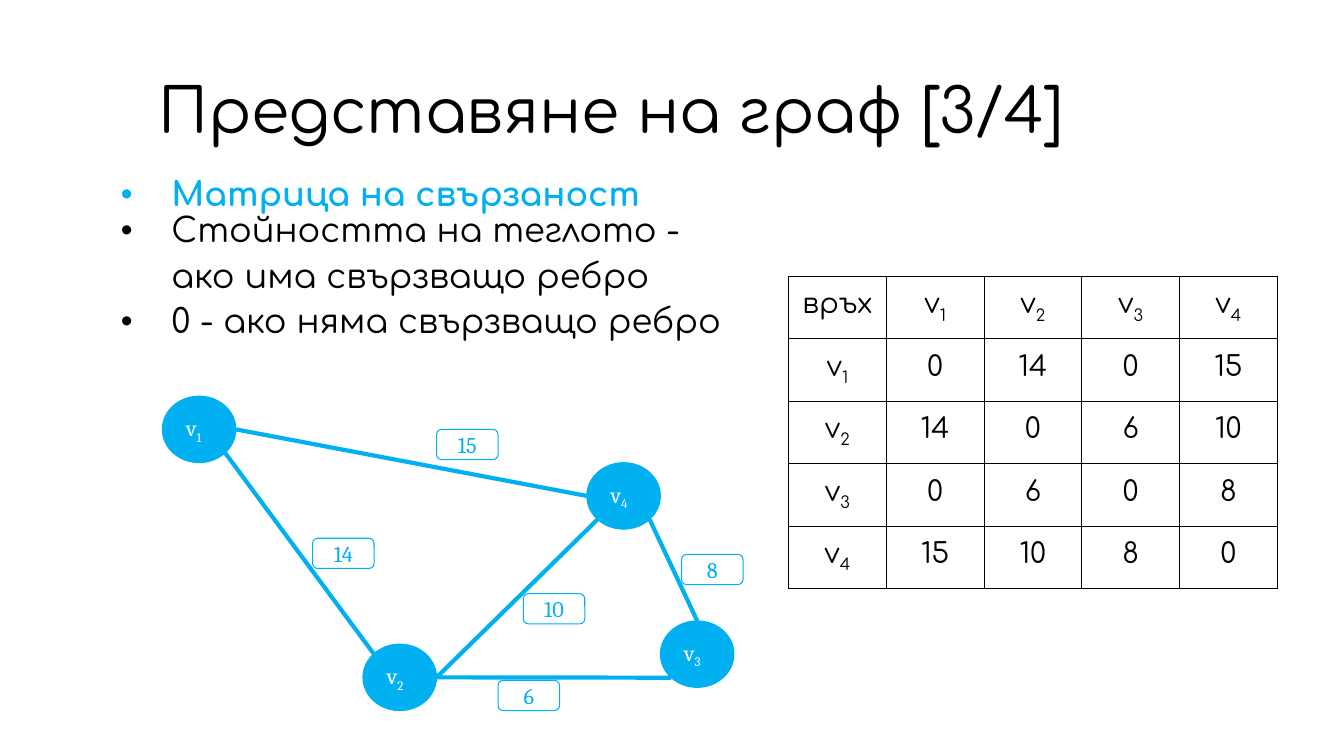
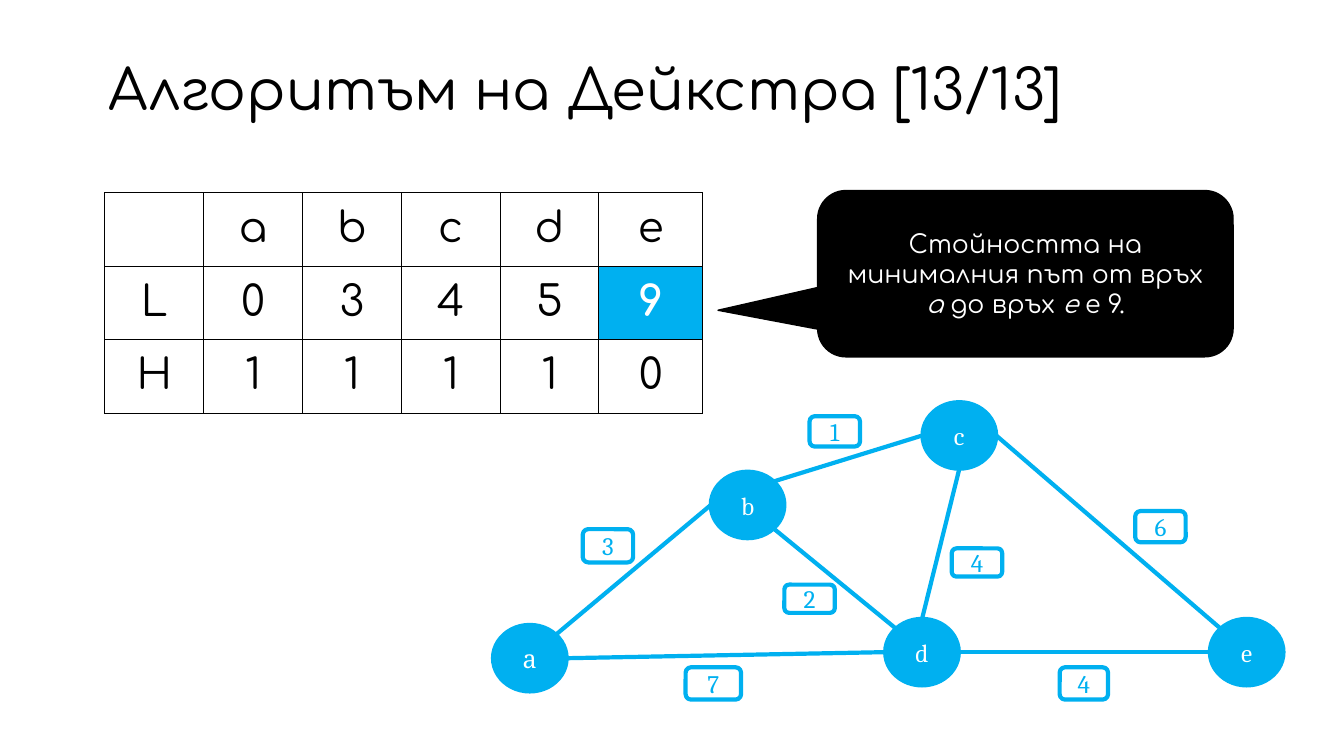
import math
from lxml import etree
from pptx import Presentation, util as u
from pptx.dml.color import RGBColor
from pptx.enum import shapes, text
from pptx.oxml import ns

COLORS = {"accent": "00B0F0", "ink": "000000", "paper": "FFFFFF"}
RGB = {name: RGBColor.from_string(value) for name, value in COLORS.items()}
SANS, SERIF = "Comfortaa", "Cambria"
NODE_WIDTH, NODE_HEIGHT = 0.73, 0.66
SITES = {"E": 0, "SE": 45, "S": 90, "SW": 135, "W": 180, "NW": 225, "N": 270, "NE": 315}
MARGINS = ("margin_left", "margin_top", "margin_right", "margin_bottom")

SLIDES = [
    {
        "title": "Представяне на граф [3/4]",
        "title_place": (1.45, 0.71, 10.44, 0.84),
        "title_size": 44,
        "table_place": (7.82, 2.74),
        "columns": [0.97] * 5,
        "row_height": 0.62,
        "table_size": 20,
        "rows": [
            ["връх", "v_1", "v_2", "v_3", "v_4"],
            ["v_1", "0", "14", "0", "15"],
            ["v_2", "14", "0", "6", "10"],
            ["v_3", "0", "6", "0", "8"],
            ["v_4", "15", "10", "8", "0"],
        ],
        "marked": None,
        "graph_size": 16,
        "outline": 0.75,
        "node_align": text.PP_ALIGN.LEFT,
        "nodes": {"v_1": (1.61, 3.93), "v_2": (3.6, 6.39), "v_3": (6.55, 6.16), "v_4": (5.82, 4.59)},
        "edges": [
            ("v_1", "SE", "v_2", "NW"),
            ("v_2", "E", "v_3", "SW"),
            ("v_3", "N", "v_4", "SE"),
            ("v_2", "E", "v_4", "SW"),
            ("v_1", "E", "v_4", "W"),
        ],
        "weights": [
            ("14", 3.1, 5.34, 0.61, 0.3),
            ("6", 4.94, 6.75, 0.61, 0.3),
            ("8", 6.76, 5.5, 0.61, 0.3),
            ("10", 5.19, 5.89, 0.61, 0.3),
            ("15", 4.33, 4.26, 0.61, 0.3),
        ],
    },
    {
        "title": "Алгоритъм на Дейкстра [13/13]",
        "title_place": (0.96, 0.5, 11.63, 0.84),
        "title_size": 40,
        "table_place": (1.04, 1.91),
        "columns": [0.98] * 5 + [1.03],
        "row_height": 0.73,
        "table_size": 30,
        "rows": [
            ["", "a", "b", "c", "d", "e"],
            ["L", "0", "3", "4", "5", "9"],
            ["H", "1", "1", "1", "1", "0"],
        ],
        "marked": (1, 5),
        "graph_size": 18,
        "outline": 3,
        "node_align": text.PP_ALIGN.CENTER,
        "nodes": {"а": (4.89, 6.2), "b": (7.05, 4.68), "c": (9.15, 3.99), "d": (8.78, 6.14), "e": (12, 6.14)},
        "edges": [
            ("а", "NE", "b", "W"),
            ("b", "SE", "d", "NW"),
            ("а", "E", "d", "W"),
            ("b", "NE", "c", "W"),
            ("d", "N", "c", "S"),
            ("c", "E", "e", "NW"),
            ("d", "E", "e", "W"),
        ],
        "weights": [
            ("3", 5.78, 5.25, 0.5, 0.33),
            ("7", 6.8, 6.62, 0.55, 0.32),
            ("2", 7.78, 5.8, 0.5, 0.28),
            ("1", 8.03, 4.13, 0.5, 0.3),
            ("4", 9.44, 5.44, 0.5, 0.28),
            ("4", 10.51, 6.62, 0.48, 0.32),
            ("6", 11.26, 5.07, 0.5, 0.31),
        ],
    },
]


def write(para, words, color, size, name, **extra):
    look = {"size": u.Pt(size), "name": name, "bold": False, **extra}
    for place, part in enumerate(words.split("_")):
        span = para.add_run()
        span.text = part
        for key, value in look.items():
            setattr(span.font, key, value)
        span.font.color.rgb = RGB[color]
        if place:
            span.font._element.set("baseline", "-25000")


def add_box(slide, kind, place, fill, line, width):
    box = slide.shapes.add_shape(kind, *map(u.Inches, place))
    box.shadow.inherit = False
    if fill:
        box.fill.solid()
        box.fill.fore_color.rgb = RGB[fill]
    else:
        box.fill.background()
    box.line.color.rgb = RGB[line]
    box.line.width = u.Pt(width)
    box.text_frame.word_wrap = True
    box.text_frame.vertical_anchor = text.MSO_ANCHOR.MIDDLE
    box.text_frame.paragraphs[0].alignment = text.PP_ALIGN.CENTER
    return box


deck = Presentation()
deck.slide_width, deck.slide_height = u.Inches(13.33), u.Inches(7.5)
title_only = deck.slide_layouts[5]

for content in SLIDES:
    slide = deck.slides.add_slide(title_only)
    title = slide.shapes.title
    for key, value in zip(("left", "top", "width", "height"), content["title_place"]):
        setattr(title, key, u.Inches(value))
    frame = title.text_frame
    frame.auto_size = text.MSO_AUTO_SIZE.NONE
    frame.vertical_anchor = text.MSO_ANCHOR.MIDDLE
    for key, value in zip(MARGINS, (0.12, 0.04, 0.12, 0.04)):
        setattr(frame, key, u.Inches(value))
    para = frame.paragraphs[0]
    para.alignment, para.line_spacing = text.PP_ALIGN.LEFT, 0.9
    write(para, content["title"], "ink", content["title_size"], SANS)

    rows, columns = content["rows"], content["columns"]
    extent = (sum(columns), content["row_height"] * len(rows))
    table = slide.shapes.add_table(
        len(rows), len(columns), *map(u.Inches, content["table_place"] + extent)
    ).table
    table.first_row = table.horz_banding = False
    for column, width in zip(table.columns, columns):
        column.width = u.Inches(width)
    for row_index, row in enumerate(rows):
        table.rows[row_index].height = u.Inches(content["row_height"])
        for column_index, words in enumerate(row):
            cell = table.cell(row_index, column_index)
            for key in MARGINS:
                setattr(cell, key, u.Inches(0.13))
            properties = cell._tc.get_or_add_tcPr()
            for side in ("a:lnL", "a:lnR", "a:lnT", "a:lnB"):
                border = etree.SubElement(properties, ns.qn(side), w=str(u.Pt(0.75)))
                paint = etree.SubElement(border, ns.qn("a:solidFill"))
                etree.SubElement(paint, ns.qn("a:srgbClr"), val=COLORS["ink"])
            marked = (row_index, column_index) == content["marked"]
            if marked:
                cell.fill.solid()
                cell.fill.fore_color.rgb = RGB["accent"]
            else:
                cell.fill.background()
            para = cell.text_frame.paragraphs[0]
            para.alignment = text.PP_ALIGN.CENTER
            if words:
                color = "paper" if marked else "ink"
                write(para, words, color, content["table_size"], SANS, bold=marked)

    nodes = content["nodes"]
    for start, start_site, end, end_site in content["edges"]:
        points = []
        for node, site in ((start, start_site), (end, end_site)):
            left, top = nodes[node]
            angle = math.radians(SITES[site])
            points.append(u.Inches(left + NODE_WIDTH / 2 * (1 + math.cos(angle))))
            points.append(u.Inches(top + NODE_HEIGHT / 2 * (1 + math.sin(angle))))
        edge = slide.shapes.add_connector(shapes.MSO_CONNECTOR.STRAIGHT, *points)
        edge.line.color.rgb = RGB["accent"]
        edge.line.width = u.Pt(3)
        etree.SubElement(edge._element.spPr, ns.qn("a:effectLst"))

    circles = [
        (name, (*corner, NODE_WIDTH, NODE_HEIGHT), shapes.MSO_SHAPE.OVAL,
         "accent", "paper", content["node_align"])
        for name, corner in nodes.items()
    ]
    labels = [
        (weight, place, shapes.MSO_SHAPE.ROUNDED_RECTANGLE, None, "accent", text.PP_ALIGN.CENTER)
        for weight, *place in content["weights"]
    ]
    for words, place, kind, fill, color, align in circles + labels:
        box = add_box(slide, kind, place, fill, "accent", content["outline"])
        for key in MARGINS:
            setattr(box.text_frame, key, u.Inches(0.13))
        para = box.text_frame.paragraphs[0]
        para.alignment = align
        write(para, words, color, content["graph_size"], SERIF)

matrix_slide, result_slide = deck.slides

frame = matrix_slide.shapes.add_textbox(*map(u.Inches, (0.91, 1.72, 6.7, 1.9))).text_frame
frame.word_wrap = True
for key, value in zip(MARGINS, (0.12, 0.04, 0.12, 0.04)):
    setattr(frame, key, u.Inches(value))
points = [
    ("Матрица на свързаност", "accent", True, 0),
    ("Стойността на теглото -", "ink", True, 0),
    ("ако има свързващо ребро", "ink", False, 6.7),
    ("0 - ако няма свързващо ребро", "ink", True, 6.7),
]
for index, (words, color, bulleted, space) in enumerate(points):
    para = frame.add_paragraph() if index else frame.paragraphs[0]
    properties = para._p.get_or_add_pPr()
    properties.set("marL", str(u.Inches(0.67)))
    properties.set("indent", str(u.Inches(-0.5 if bulleted else 0)))
    if bulleted:
        etree.SubElement(properties, ns.qn("a:buFont"), typeface="Arial")
        etree.SubElement(properties, ns.qn("a:buChar"), char="•")
    para.line_spacing, para.space_before = 0.9, u.Pt(space)
    write(para, words, color, 24, SANS, bold=color == "accent")

callout = add_box(
    result_slide, shapes.MSO_SHAPE.ROUNDED_RECTANGULAR_CALLOUT, (8.11, 1.89, 4.12, 1.65), "ink", "ink", 1
)
for index, value in enumerate((-0.74, 0.22, 0.17)):
    callout.adjustments[index] = value
para = callout.text_frame.paragraphs[0]
sentence = ("Стойността на минималния път от връх ", "а", " до връх ", "е", " е 9.")
for index, words in enumerate(sentence):
    write(para, words, "paper", 18, SANS, italic=index % 2 == 1)

deck.save("out.pptx")
